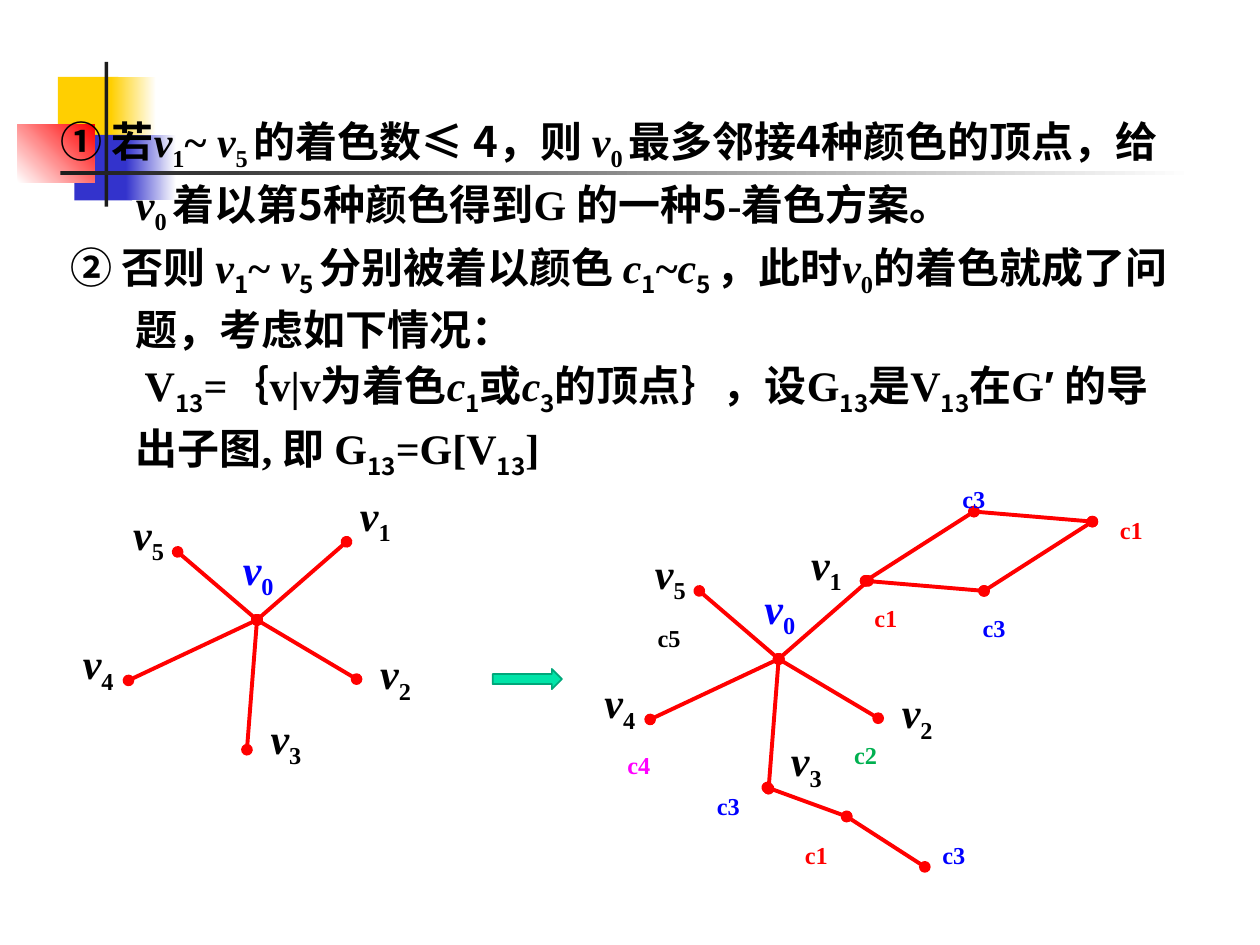
from pptx import Presentation
from pptx.dml.color import RGBColor
from pptx.enum.shapes import MSO_CONNECTOR, MSO_SHAPE
from pptx.enum.text import MSO_ANCHOR, PP_ALIGN
from pptx.oxml.ns import qn
from pptx.util import Inches, Pt
from lxml.etree import SubElement

COLUMNS, ROWS = 100, 75
BLACK, RED, BLUE, GREEN, MAGENTA = "000000", "FF0000", "0000FF", "00B050", "FF00FF"
SERIF, SANS, PLAIN = "Times New Roman", "Noto Sans CJK SC", "Arial"

# Style letter of a span -> font, italic, subscript
SPAN_STYLES = {
    "t": (SERIF, False, False),
    "i": (SERIF, True, False),
    "s": (SERIF, False, True),
    "n": (SANS, False, False),
    "d": (SANS, False, True),
    "a": (PLAIN, False, False),
}

# First-line indent in columns, then spans parted by "/", each led by its style letter
PARAGRAPHS = [
    (-6, "n① 若/iv/s1/t~ /iv/s5 /n的着色数/a≤ /n4/t，则 /iv/s0 /t最多邻接/n4/t种颜色的顶点，给 "
         "/iv/s0 /t着以第/n5/t种颜色得到G 的一种/n5/t-着色方案。"),
    (-5.2, "n② 否则 /iv/d1/t~ /iv/d5 /n分别被着以颜色 /ic/d1/t~/ic/d5 /n，此时/iv/s0"
           "/t的着色就成了问题，考虑如下情况："),
    (0.7, "tV/d13/t=｛v|v为/n着色/ic/d1/t或/ic/d3/n的顶点｝，/t设G/d13/t是V/d13/t在G/a′"
          "/t 的导出子图, 即 G/d13/t=G[V/d13/t]"),
]

# Backdrop blocks: left, top, width, height, start colour, end colour, gradient angle
BACKDROP = [
    (4.6, 6.1, 4.8, 5.2, "FFCF01", None, 0),
    (8.8, 6.1, 3.6, 5.2, "FFCF01", "FFFFFF", 0),
    (5.9, 10.7, 4.6, 5.2, "3333CC", None, 0),
    (10, 10.7, 4, 5.2, "3333CC", "FFFFFF", 0),
    (1.4, 9.9, 6.1, 4.6, "FFFFFF", RED, 45),
    (8.3, 4.9, 0.3, 11.5, "1C1C1C", None, 0),
    (4.8, 13.6, 90, 0.3, "1C1C1C", "FFFFFF", 0),
]

HUB = (20.4, 49.2)
STAR_TIPS = [(27.5, 43), (28.3, 53.9), (19.6, 59.5), (14.1, 43.8), (10.2, 54)]
STAR_LABELS = {"0": (18.2, 43.1), "1": (27.5, 38.8), "2": (29.1, 51.4),
               "3": (20.4, 56.5), "4": (5.5, 50.6), "5": (9.5, 40.3)}
COLOURED_SHIFT = (41.4, 3.1)
MOVED_LABELS = {"1": (63.3, 42.7), "3": (61.7, 58.3)}

DIAMOND = [(68.7, 46.1), (77.3, 40.6), (86.7, 41.4), (78.1, 46.9), (68.7, 46.1)]
TAIL = [(60.9, 62.5), (67.2, 64.8), (73.4, 68.8)]
COLOUR_LABELS = [
    ("1", RED, (68, 45.6)), ("2", GREEN, (66.4, 56.5)), ("3", BLUE, (55.5, 60.5)),
    ("4", MAGENTA, (48.4, 57.3)), ("5", BLACK, (50.8, 47.2)), ("3", BLUE, (76.6, 46.4)),
    ("3", BLUE, (75, 36.2)), ("1", RED, (87.5, 38.6)), ("1", RED, (62.5, 64.4)),
    ("3", BLUE, (73.4, 64.4)),
]


def colour(value):
    return RGBColor.from_string(value)


def shifted(point, shift):
    return point[0] + shift[0], point[1] + shift[1]


class SlideBuilder:
    """Holds the style and the current page; lengths are columns and rows of the grid."""

    size = 24
    edge_width = 2.25
    label_side = 4.6

    def __init__(self, deck):
        self.column = deck.slide_width / COLUMNS
        self.row = deck.slide_height / ROWS
        self.page = deck.slides.add_slide(deck.slide_layouts[6])
        self.shapes = self.page.shapes

    def place(self, *lengths):
        """Turn alternating columns and rows into slide lengths."""
        units = (self.column, self.row) * 2
        return [round(length * unit) for length, unit in zip(lengths, units)]

    def block(self, left, top, width, height, start, end=None, angle=0,
              kind=MSO_SHAPE.RECTANGLE, outline=None):
        shape = self.shapes.add_shape(kind, *self.place(left, top, width, height))
        shape.shadow.inherit = False
        if end:
            shape.fill.gradient()
            shape.fill.gradient_angle = angle
            for stop, value in zip(shape.fill.gradient_stops, (start, end)):
                stop.color.rgb = colour(value)
        else:
            shape.fill.solid()
            shape.fill.fore_color.rgb = colour(start)
        if outline:
            shape.line.color.rgb = colour(outline)
            shape.line.width = Pt(1)
        else:
            shape.line.fill.background()

    def edge(self, start, end):
        """Draw a graph edge with a round dot at both ends."""
        line = self.shapes.add_connector(MSO_CONNECTOR.STRAIGHT, *self.place(*start, *end))
        line.line.color.rgb = colour(RED)
        line.line.width = Pt(self.edge_width)
        for name in ("a:headEnd", "a:tailEnd"):
            SubElement(line.line._ln, qn(name), type="oval")
        SubElement(line._element.spPr, qn("a:effectLst"))

    def chain(self, points):
        for start, end in zip(points, points[1:]):
            self.edge(start, end)

    def spans(self, para, marked, text_colour=BLACK):
        """Add the spans of a marked string to a paragraph."""
        for piece in marked.split("/"):
            family, italic, subscript = SPAN_STYLES[piece[0]]
            span = para.add_run()
            span.text = piece[1:]
            values = {"size": Pt(self.size), "bold": True, "italic": italic, "name": family}
            for name, value in values.items():
                setattr(span.font, name, value)
            span.font.color.rgb = colour(text_colour)
            properties = span._r.get_or_add_rPr()
            if subscript:
                properties.set("baseline", "-25000")
            SubElement(properties, qn("a:ea"), typeface=SANS)

    def label(self, marked, point, text_colour=BLACK):
        side = self.label_side
        frame = self.shapes.add_textbox(*self.place(*point, side, side)).text_frame
        values = {"margin_left": 0, "margin_top": 0, "margin_right": 0, "margin_bottom": 0,
                  "word_wrap": True, "vertical_anchor": MSO_ANCHOR.MIDDLE}
        for name, value in values.items():
            setattr(frame, name, value)
        para = frame.paragraphs[0]
        para.alignment = PP_ALIGN.CENTER
        self.spans(para, marked, text_colour)

    def body(self, paragraphs, *area):
        frame = self.shapes.add_textbox(*self.place(*area)).text_frame
        frame.word_wrap = True
        for index, (indent, marked) in enumerate(paragraphs):
            para = frame.add_paragraph() if index else frame.paragraphs[0]
            para.line_spacing = 1.1
            properties = para._p.get_or_add_pPr()
            properties.set("marL", str(Inches(0.67)))
            properties.set("indent", str(round(indent * self.column)))
            self.spans(para, marked)

    def star(self, labels, shift=(0, 0)):
        for tip in STAR_TIPS:
            self.edge(shifted(HUB, shift), shifted(tip, shift))
        for number, point in labels.items():
            self.label(f"iv/s{number}", point, BLUE if number == "0" else BLACK)


def main():
    deck = Presentation()
    deck.slide_width, deck.slide_height = Inches(10), Inches(7.5)
    builder = SlideBuilder(deck)
    for block in BACKDROP:
        builder.block(*block)
    builder.body(PARAGRAPHS, 3.1, 8.2, 92.2, 31.2)

    builder.star(STAR_LABELS)
    coloured_labels = {number: shifted(point, COLOURED_SHIFT)
                       for number, point in STAR_LABELS.items()}
    builder.star(coloured_labels | MOVED_LABELS, COLOURED_SHIFT)
    builder.chain(DIAMOND)
    builder.chain(TAIL)
    for number, text_colour, point in COLOUR_LABELS:
        builder.label(f"sc{number}", point, text_colour)
    builder.block(39.1, 53.1, 5.5, 1.6, "00E4A8", kind=MSO_SHAPE.RIGHT_ARROW, outline="00A77A")
    deck.save("out.pptx")


if __name__ == "__main__":
    main()
